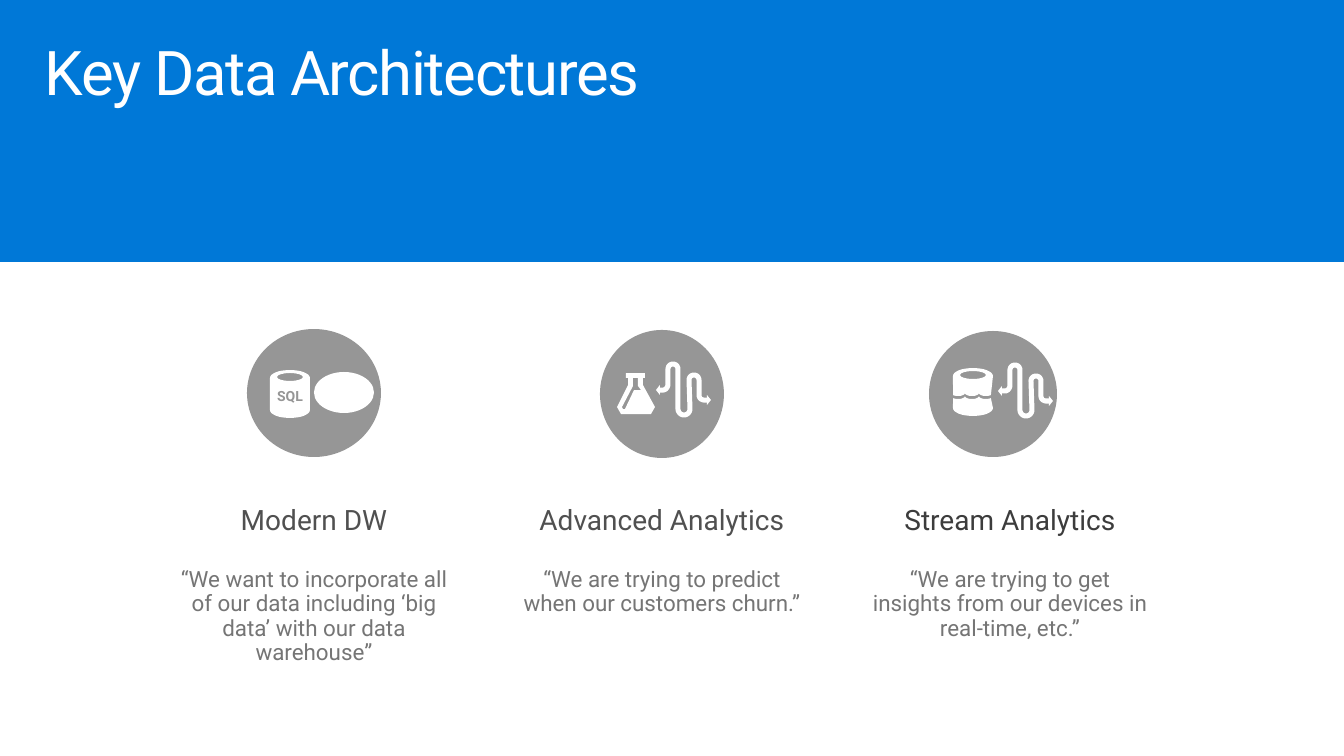
"""Build the Key Data Architectures slide."""
from math import cos, sin, radians
from pptx import Presentation
from pptx.dml.color import RGBColor as RGB
from pptx.enum.shapes import MSO_SHAPE as Kind
from pptx.enum.text import MSO_ANCHOR as Anchor, PP_ALIGN as Align
from pptx.util import Pt

PX = 9071
FINE = 10
FONT = "Roboto"
HUES = {"blue": "0078D7", "white": "FFFFFF", "disc": "969696",
        "head": "505050", "dark": "3C3C3C", "quote": "757575"}
INK = {name: RGB.from_string(code) for name, code in HUES.items()}

deck = Presentation()
deck.slide_width, deck.slide_height = 1344 * PX, 756 * PX
slide = deck.slides.add_slide(deck.slide_layouts[6])
shapes = slide.shapes


def arc(x, y, wide, high, start, end):
    """Return points along an elliptic arc, in degrees clockwise from the right."""
    turns = [radians(start + (end - start) * i / 16) for i in range(17)]
    return [(x + wide * cos(t), y + high * sin(t)) for t in turns]


def draw(left, top, paths, stroke=0):
    """Draw white closed outlines, or one open line if a stroke is given."""
    fine = [[(x * FINE, y * FINE) for x, y in path] for path in paths]
    pen = shapes.build_freeform(*fine[0][0], scale=PX / FINE)
    for i, path in enumerate(fine):
        if i:
            pen.move_to(*path[0])
        pen.add_line_segments(path[1:], close=not stroke)
    form = pen.convert_to_shape(left * PX, top * PX)
    form.shadow.inherit = False
    if stroke:
        form.fill.background()
        form.line.color.rgb = INK["white"]
        form.line.width = stroke * PX
    else:
        form.fill.solid()
        form.fill.fore_color.rgb = INK["white"]
        form.line.fill.background()
    return form


plain = [(Kind.RECTANGLE, (-2, 0, 1347, 262), "blue"),
         (Kind.OVAL, (247, 329, 134, 128), "disc"),
         (Kind.OVAL, (600, 330, 124, 128), "disc"),
         (Kind.OVAL, (929, 331, 128, 126), "disc"),
         (Kind.OVAL, (314, 372, 60, 41), "white")]
for kind, box, hue in plain:
    form = shapes.add_shape(kind, *[n * PX for n in box])
    form.shadow.inherit = False
    form.fill.solid()
    form.fill.fore_color.rgb = INK[hue]
    if hue == "blue":
        form.line.color.rgb = INK[hue]
        form.line.width = Pt(0.75)
    else:
        form.line.fill.background()

lid = arc(20, 8, 20, 8, 180, 360)
base = arc(20, 40, 20, 8, 0, 180)
hole = arc(20, 7, 13, 4, 0, 360)
wave = arc(5, 25, 7, 3, 135, 0) + arc(19, 25, 7, 3, 180, 0) + arc(33, 25, 7, 3, 180, 45)
drop = [(x, y + 3) for x, y in wave]
draw(953, 368, [lid + wave[::-1], hole, drop + base])

store = draw(270, 370, [lid + base, hole])
frame = store.text_frame
frame.margin_left = frame.margin_right = frame.margin_bottom = 0
frame.margin_top = 4 * PX
frame.vertical_anchor = Anchor.MIDDLE
frame.word_wrap = False
frame.text = "SQL"
label = frame.paragraphs[0]
label.alignment = Align.CENTER
font = label.runs[0].font
font.name, font.size, font.bold = FONT, Pt(10), True
font.color.rgb = INK["disc"]

glass = [(9, 0), (28, 0), (28, 5), (26, 5), (26, 12), (38, 34), (34, 41),
         (4, 41), (0, 34), (11, 12), (11, 5), (9, 5)]
gap = [(16, 5), (16, 13), (5, 34), (6, 36), (8, 36), (17, 17),
       (24, 17), (21, 13), (21, 5)]
draw(617, 373, [glass, gap])

pipe = ([(3, 29)] + arc(7, 23, 5, 6, 90, 0) + arc(17, 8, 5, 5, 180, 360)
        + arc(28, 48, 6, 6, 180, 0) + arc(38, 19, 5, 5, 180, 360)
        + arc(48, 34, 5, 5, 180, 90) + [(52, 39)])
tips = [[(0, 29), (4, 24), (4, 34)], [(55, 39), (51, 34), (51, 44)]]
for left, top in [(656, 361), (998, 362)]:
    draw(left, top, [pipe], stroke=5)
    draw(left, top, tips)

texts = [((29, 32, 1285, 99), Align.LEFT,
          [("Key Data Architectures", 44, "white")])]
columns = [("Modern DW", "head", 217,
            "“We want to incorporate all of our data including ‘big data’ with our data warehouse”"),
           ("Advanced Analytics", "head", 170,
            "“We are trying to predict when our customers churn.”"),
           ("Stream Analytics", "dark", 195,
            "“We are trying to get insights from our devices in real-time, etc.”")]
for i, (head, hue, high, quote) in enumerate(columns):
    texts.append(((156 + 348 * i, 496, 316, high), Align.CENTER,
                  [(head, 20, hue), (quote, 16, "quote")]))

for box, align, lines in texts:
    frame = shapes.add_textbox(*[n * PX for n in box]).text_frame
    frame.word_wrap = True
    frame.margin_left = frame.margin_right = 16 * PX
    frame.margin_top = frame.margin_bottom = 10 * PX
    frame.text = "\n".join(line[0] for line in lines)
    for para, (words, size, hue) in zip(frame.paragraphs, lines):
        para.alignment = align
        para.line_spacing = 0.9
        para.space_after = Pt(3)
        if hue == "quote":
            para.space_before = Pt(20)
        run = para.runs[0]
        run.font.name, run.font.size = FONT, Pt(size)
        run.font.color.rgb = INK[hue]
        if hue == "white":
            run.font._element.set("spc", "-100")

deck.save("out.pptx")
